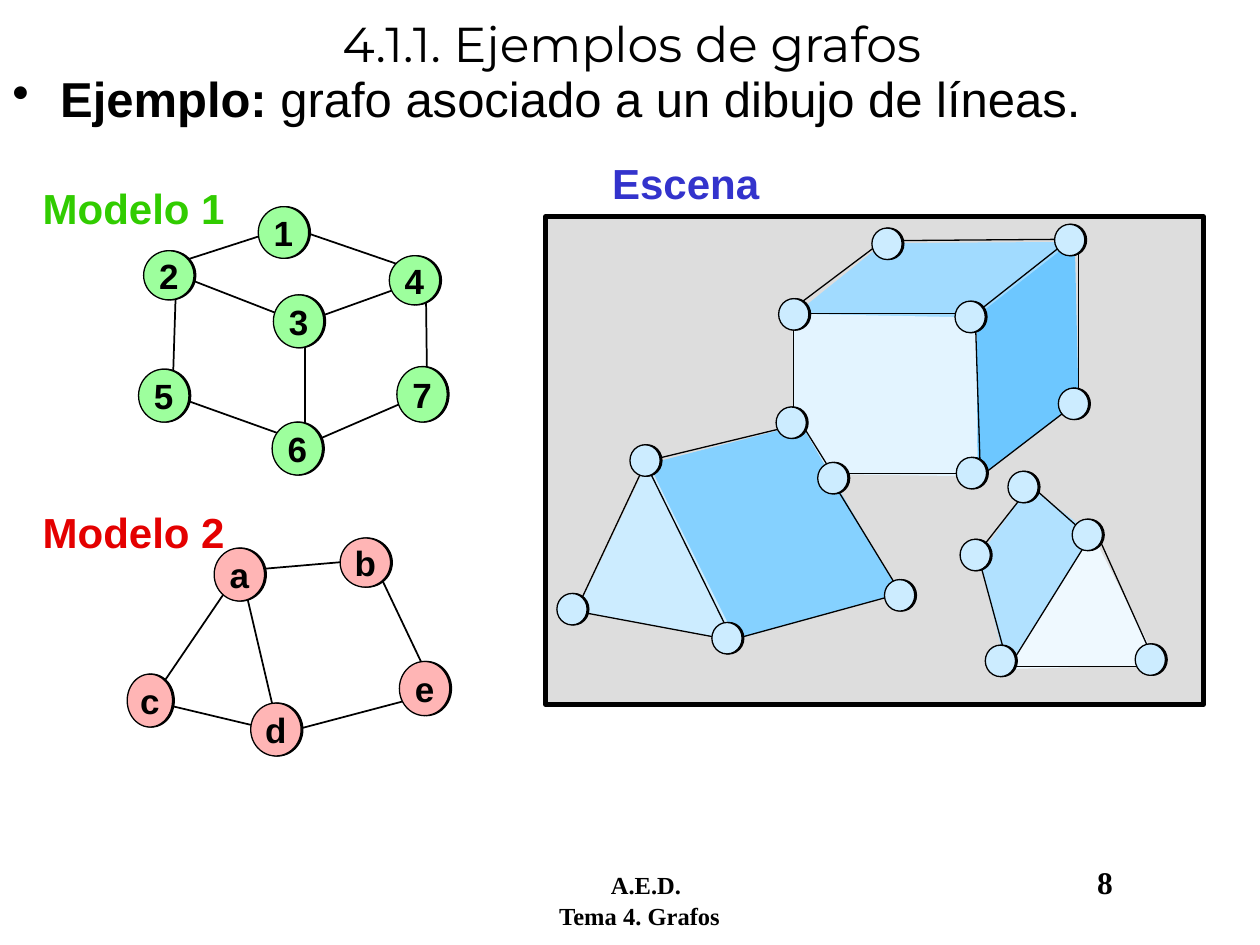
from dataclasses import dataclass
from typing import NamedTuple

from lxml import etree
from pptx import Presentation
from pptx.dml.color import RGBColor
from pptx.enum.shapes import MSO_CONNECTOR, MSO_SHAPE
from pptx.enum.text import MSO_ANCHOR, PP_ALIGN
from pptx.oxml.ns import qn
from pptx.util import Cm, Pt

STRAIGHT = MSO_CONNECTOR.STRAIGHT
RECT, OVAL = MSO_SHAPE.RECTANGLE, MSO_SHAPE.OVAL
MIDDLE, CENTER = MSO_ANCHOR.MIDDLE, PP_ALIGN.CENTER
GRID_CM = 2.54  # the layout is planned on a 10 x 7.5 grid


@dataclass(frozen=True)
class Theme:
    ink: str = "000000"
    backdrop: str = "DDDDDD"
    vertex: str = "CCECFF"
    green_node: str = "9DFF9D"
    red_node: str = "FFB5B5"
    green: str = "31CC00"
    red: str = "E40000"
    blue: str = "3333CC"
    sans: str = "Arial"
    display: str = "Montserrat"
    serif: str = "Times New Roman"
    title: int = 28
    heading: int = 24
    node: int = 20
    page: int = 18
    footer: int = 14
    thin: float = 0.75
    edge: float = 1
    frame: float = 3


class Node(NamedTuple):
    label: str
    x: float
    y: float
    h: float = 0.42
    w: float = 0.4


class Edge(NamedTuple):
    x1: float
    y1: float
    x2: float
    y2: float


class Face(NamedTuple):
    color: str
    points: list[tuple[float, float]]


class Heading(NamedTuple):
    text: str
    color: str
    x: float
    y: float


T = Theme()
FACES = [
    Face("A1DBFF", [(6.29, 2.51), (7.01, 1.93), (8.51, 1.92), (7.75, 2.52)]),
    Face("E3F4FF", [(6.29, 2.49), (7.76, 2.52), (7.77, 3.78), (6.3, 3.76)]),
    Face("6DC7FF", [(7.75, 2.51), (8.53, 1.9), (8.56, 3.19), (7.76, 3.8)]),
    Face("85D1FF", [(5.15, 3.68), (6.36, 3.37), (7.14, 4.71), (5.82, 5.08)]),
    Face("CCECFF", [(5.14, 3.67), (4.58, 4.85), (5.85, 5.09)]),
    Face("B1E1FF", [(7.77, 4.42), (8.17, 3.86), (8.68, 4.25), (7.99, 5.32)]),
    Face("EFF9FF", [(8.67, 4.24), (9.2, 5.28), (7.99, 5.31)]),
]
CUBE_EDGES = [
    Edge(7.01, 1.91, 6.28, 2.46), Edge(7.07, 1.91, 8.38, 1.9), Edge(8.45, 1.93, 7.74, 2.49),
    Edge(8.56, 1.91, 8.56, 3.15), Edge(8.54, 3.2, 7.81, 3.76), Edge(7.81, 3.76, 6.59, 3.76),
    Edge(6.59, 3.73, 6.36, 3.36), Edge(6.3, 3.3, 6.3, 2.49), Edge(6.3, 2.49, 7.74, 2.49),
    Edge(7.74, 2.49, 7.78, 3.73),
]
PRISM_EDGES = [
    Edge(6.33, 3.37, 5.13, 3.66), Edge(5.13, 3.66, 4.57, 4.85), Edge(4.57, 4.85, 5.8, 5.08),
    Edge(5.8, 5.08, 7.15, 4.71), Edge(7.15, 4.71, 6.6, 3.81), Edge(5.13, 3.69, 5.8, 5.05),
]
SMALL_PRISM_EDGES = [
    Edge(7.98, 5.34, 8.69, 4.2), Edge(8.69, 4.2, 9.18, 5.29), Edge(7.76, 4.39, 8.16, 3.88),
    Edge(7.98, 5.21, 7.76, 4.4), Edge(8.62, 4.24, 8.19, 3.86), Edge(7.95, 5.29, 9.17, 5.29),
]
VERTICES = [
    (6.92, 1.81), (7.62, 4.28), (7.59, 3.63), (5, 3.53), (8.51, 4.12), (7.58, 2.39),
    (8.37, 1.78), (8, 3.74), (6.16, 3.23), (4.42, 4.71), (9.01, 5.11), (8.4, 3.08),
    (6.49, 3.67), (6.18, 2.37), (5.65, 4.94), (7.82, 5.12), (7.02, 4.6),
]
MODEL_1_EDGES = [
    Edge(1.4, 2.17, 1.37, 3.11), Edge(1.33, 2.11, 2.26, 1.81), Edge(2.35, 1.82, 3.34, 2.16),
    Edge(1.33, 2.15, 2.41, 2.57), Edge(2.46, 2.54, 3.35, 2.22), Edge(2.42, 2.63, 2.42, 3.55),
    Edge(3.38, 2.27, 3.39, 3.08), Edge(3.42, 3.1, 2.38, 3.55), Edge(2.38, 3.5, 1.29, 3.11),
]
MODEL_1_NODES = [
    Node("1", 2.05, 1.64, 0.41), Node("4", 3.09, 2.03, 0.39), Node("2", 1.14, 1.99, 0.39),
    Node("7", 3.15, 2.91, 0.44), Node("3", 2.17, 2.34), Node("6", 2.16, 3.35),
    Node("5", 1.1, 2.93),
]
MODEL_2_EDGES = [
    Edge(1.91, 4.53, 2.96, 4.44), Edge(2.97, 4.47, 3.45, 5.48), Edge(3.45, 5.5, 2.2, 5.83),
    Edge(2.22, 5.84, 1.91, 4.52), Edge(2.23, 5.81, 1.18, 5.56), Edge(1.2, 5.56, 1.86, 4.59),
]
MODEL_2_NODES = [
    Node("b", 2.7, 4.27, 0.39), Node("e", 3.17, 5.25, 0.43), Node("a", 1.7, 4.35),
    Node("d", 1.99, 5.58), Node("c", 1.01, 5.35, w=0.36),
]
HEADINGS = [
    Heading("Modelo 1", T.green, 0.24, 1.4),
    Heading("Modelo 2", T.red, 0.24, 3.97),
    Heading("Escena", T.blue, 4.76, 1.2),
]


def grid(*values: float) -> list[Cm]:
    return [Cm(v * GRID_CM) for v in values]


def rgb(color: str) -> RGBColor:
    return RGBColor.from_string(color)


def add_run(p, text: str, size: int, font: str = T.sans, color: str = T.ink, bold: bool = True):
    r = p.add_run()
    r.text = text
    r.font.size, r.font.name, r.font.bold = Pt(size), font, bold
    r.font.color.rgb = rgb(color)


def add_box(s, x: float, y: float, w: float, h: float):
    tf = s.shapes.add_textbox(*grid(x, y, w, h)).text_frame
    tf.word_wrap = True
    return tf


def add_shape(s, kind, x: float, y: float, w: float, h: float, fill: str | None, width: float):
    sp = s.shapes.add_shape(kind, *grid(x, y, w, h))
    sp.shadow.inherit = False
    if fill:
        sp.fill.solid()
        sp.fill.fore_color.rgb = rgb(fill)
    else:
        sp.fill.background()
    sp.line.color.rgb = rgb(T.ink)
    sp.line.width = Pt(width)
    return sp


def add_node(s, node: Node, fill: str):
    """Circle with a hard one-point shadow to the right."""
    sp = add_shape(s, OVAL, node.x, node.y, node.w, node.h, fill, T.thin)
    effects = sp._element.spPr.find(qn("a:effectLst"))
    shadow = etree.SubElement(effects, qn("a:outerShdw"), dist=str(Pt(1)), dir="0", algn="ctr")
    etree.SubElement(shadow, qn("a:srgbClr"), val=T.ink)
    if node.label:
        tf = sp.text_frame
        tf.margin_left = tf.margin_right = tf.margin_top = tf.margin_bottom = 0
        tf.vertical_anchor = MIDDLE
        tf.paragraphs[0].alignment = CENTER
        add_run(tf.paragraphs[0], node.label, T.node)


def add_edge(s, edge: Edge, width: float):
    line = s.shapes.add_connector(STRAIGHT, *grid(*edge))
    line.line.color.rgb = rgb(T.ink)
    line.line.width = Pt(width)
    etree.SubElement(line._element.spPr, qn("a:effectLst"))


def add_face(s, face: Face):
    start, *rest = [tuple(grid(*point)) for point in face.points]
    builder = s.shapes.build_freeform(*start)
    builder.add_line_segments(rest, close=True)
    sp = builder.convert_to_shape()
    sp.shadow.inherit = False
    sp.fill.solid()
    sp.fill.fore_color.rgb = rgb(face.color)
    sp.line.fill.background()


def add_graph(s, edges: list[Edge], nodes: list[Node], fill: str, width: float):
    for edge in edges:
        add_edge(s, edge, width)
    for node in nodes:
        add_node(s, node, fill)


def set_tabs(p, *stops: float):
    tabs = etree.SubElement(p._p.get_or_add_pPr(), qn("a:tabLst"))
    for stop in grid(*stops):
        etree.SubElement(tabs, qn("a:tab"), pos=str(stop), algn="l")


def add_footer(s):
    tf = add_box(s, 3.62, 6.8, 5.8, 0.5)
    p = tf.paragraphs[0]
    set_tabs(p, 1.13, 4.99)
    add_run(p, "\tA.E.D.\t", T.footer, T.serif)
    add_run(p, "8", T.page, T.serif)
    p = tf.add_paragraph()
    set_tabs(p, 0.72)
    add_run(p, "\tTema 4. Grafos", T.footer, T.serif)


def add_title_and_body(s):
    tf = add_box(s, 0.35, 0, 9.33, 0.68)
    tf.vertical_anchor = MIDDLE
    tf.paragraphs[0].alignment = CENTER
    add_run(tf.paragraphs[0], "4.1.1. Ejemplos de grafos", T.title, T.display, bold=False)

    p = add_box(s, 0, 0.55, 9.6, 0.54).paragraphs[0]
    p.line_spacing = 0.9
    pPr = p._p.get_or_add_pPr()
    indent, = grid(0.38)
    pPr.set("marL", str(indent))
    pPr.set("indent", str(-indent))
    etree.SubElement(pPr, qn("a:buChar"), char="•")
    add_run(p, "Ejemplo: ", T.title)
    add_run(p, "grafo asociado a un dibujo de líneas.", T.title, bold=False)


def main():
    prs = Presentation()
    prs.slide_width, prs.slide_height = grid(10, 7.5)
    s = prs.slides.add_slide(prs.slide_layouts[6])
    add_footer(s)
    add_shape(s, RECT, 4.34, 1.72, 5.21, 3.86, T.backdrop, T.thin)
    for face in FACES:
        add_face(s, face)
    add_title_and_body(s)
    vertices = [Node("", x, y, 0.25, 0.24) for x, y in VERTICES]
    add_graph(s, CUBE_EDGES + PRISM_EDGES + SMALL_PRISM_EDGES, vertices, T.vertex, T.thin)
    add_graph(s, MODEL_1_EDGES, MODEL_1_NODES, T.green_node, T.edge)
    add_graph(s, MODEL_2_EDGES, MODEL_2_NODES, T.red_node, T.edge)
    for heading in HEADINGS:
        tf = add_box(s, heading.x, heading.y, 1.72, 0.5)
        add_run(tf.paragraphs[0], heading.text, T.heading, color=heading.color)
    add_shape(s, RECT, 4.33, 1.72, 5.22, 3.87, None, T.frame)
    prs.save("out.pptx")


if __name__ == "__main__":
    main()
